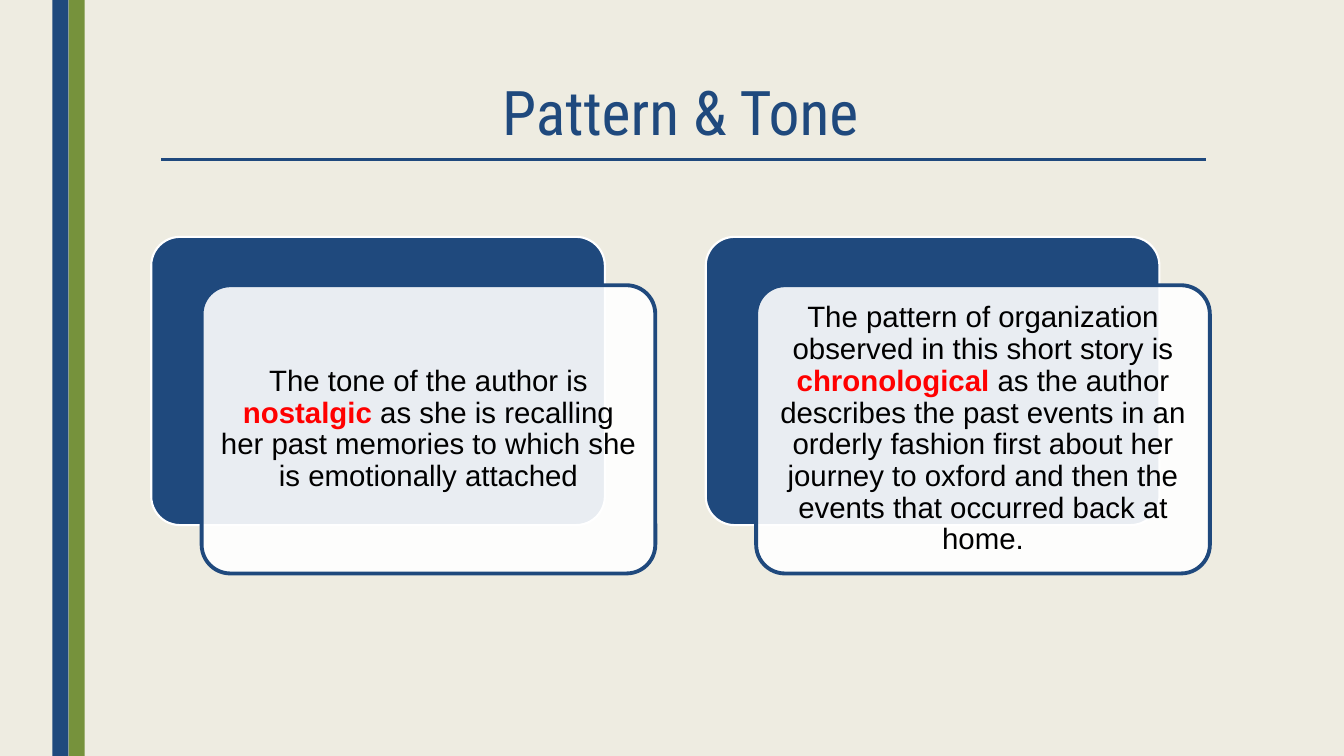
from dataclasses import dataclass

from lxml.etree import SubElement
from pptx import Presentation
from pptx.dml.color import RGBColor
from pptx.enum.shapes import MSO_CONNECTOR, MSO_SHAPE
from pptx.enum.text import MSO_ANCHOR, PP_ALIGN
from pptx.oxml.ns import qn
from pptx.shapes.autoshape import Shape
from pptx.slide import Slide
from pptx.text.text import TextFrame
from pptx.util import Inches, Pt

NAVY = RGBColor(0x1F, 0x49, 0x7D)
GREEN = RGBColor(0x76, 0x92, 0x3C)
CREAM = RGBColor(0xEE, 0xEC, 0xE1)
WHITE = RGBColor(0xFF, 0xFF, 0xFF)
BLACK = RGBColor(0x00, 0x00, 0x00)
RED = RGBColor(0xFF, 0x00, 0x00)

CARD_LEFT, CARD_TOP, CARD_STEP = 1.5, 2.35, 5.5
CARD_WIDTH, CARD_HEIGHT = 4.5, 2.86
FRONT_SHIFT_X, FRONT_SHIFT_Y = 0.5, 0.48


@dataclass
class Stripe:
    left: float
    height: float
    color: RGBColor


@dataclass
class Card:
    before: str
    keyword: str
    after: str


STRIPES = [Stripe(0.68, 7.52, GREEN), Stripe(0.52, 7.5, NAVY)]
CARDS = [
    Card("The tone of the author is ", "nostalgic",
         " as she is recalling her past memories to which she is emotionally attached"),
    Card("The pattern of organization observed in this short story is ", "chronological",
         " as the author describes the past events in an orderly fashion first about her "
         "journey to oxford and then the events that occurred back at home."),
]


def add_box(slide: Slide, kind: MSO_SHAPE, left: float, top: float, width: float,
            height: float, fill: RGBColor, line: RGBColor | None = None,
            line_width: float = 0) -> Shape:
    shape = slide.shapes.add_shape(
        kind, Inches(left), Inches(top), Inches(width), Inches(height))
    shape.shadow.inherit = False
    shape.fill.solid()
    shape.fill.fore_color.rgb = fill
    if line is None:
        shape.line.fill.background()
    else:
        shape.line.color.rgb = line
        shape.line.width = Pt(line_width)
    if kind == MSO_SHAPE.ROUNDED_RECTANGLE:
        shape.adjustments[0] = 0.1
    return shape


def add_text(frame: TextFrame, text: str, *, font: str, size: float,
             color: RGBColor, bold: bool = False, spacing: float = 0.9) -> None:
    """Append a run to the frame's centred first paragraph."""
    frame.word_wrap = True
    frame.vertical_anchor = MSO_ANCHOR.MIDDLE
    paragraph = frame.paragraphs[0]
    paragraph.alignment = PP_ALIGN.CENTER
    paragraph.line_spacing = spacing
    run = paragraph.add_run()
    run.text = text
    run.font.name = font
    run.font.size = Pt(size)
    run.font.bold = bold
    run.font.color.rgb = color


def add_card(slide: Slide, card: Card, left: float) -> None:
    add_box(slide, MSO_SHAPE.ROUNDED_RECTANGLE, left, CARD_TOP, CARD_WIDTH, CARD_HEIGHT,
            NAVY, WHITE, 1.5)
    front = add_box(slide, MSO_SHAPE.ROUNDED_RECTANGLE, left + FRONT_SHIFT_X,
                    CARD_TOP + FRONT_SHIFT_Y, CARD_WIDTH, CARD_HEIGHT, WHITE, NAVY, 2.75)
    fill_color = front.fill._xPr.find(qn("a:solidFill"))[0]
    SubElement(fill_color, qn("a:alpha")).set("val", "90000")

    frame = front.text_frame
    frame.margin_left = frame.margin_right = Inches(0.09)
    frame.margin_top = frame.margin_bottom = Inches(0.09)
    add_text(frame, card.before, font="Arial", size=21, color=BLACK)
    add_text(frame, card.keyword, font="Arial", size=21, color=RED, bold=True)
    add_text(frame, card.after, font="Arial", size=21, color=BLACK)


def main() -> None:
    presentation = Presentation()
    presentation.slide_width = Inches(13.33)
    presentation.slide_height = Inches(7.5)
    slide = presentation.slides.add_slide(presentation.slide_layouts[6])

    # Background and side stripes
    slide.background.fill.solid()
    slide.background.fill.fore_color.rgb = CREAM
    for stripe in STRIPES:
        add_box(slide, MSO_SHAPE.RECTANGLE, stripe.left, 0, 0.16, stripe.height, stripe.color)

    # Title with its rule
    rule = slide.shapes.add_connector(
        MSO_CONNECTOR.STRAIGHT, Inches(1.6), Inches(1.58), Inches(11.96), Inches(1.58))
    rule.line.color.rgb = NAVY
    rule.line.width = Pt(2.25)
    SubElement(rule._element.spPr, qn("a:effectLst"))
    title = slide.shapes.add_textbox(Inches(1.5), Inches(0.75), Inches(10.5), Inches(0.79))
    add_text(title.text_frame, "Pattern & Tone", font="Roboto Condensed", size=44,
             color=NAVY, spacing=0.89)

    # Layered cards
    for index, card in enumerate(CARDS):
        add_card(slide, card, CARD_LEFT + index * CARD_STEP)

    presentation.save("out.pptx")


if __name__ == "__main__":
    main()
